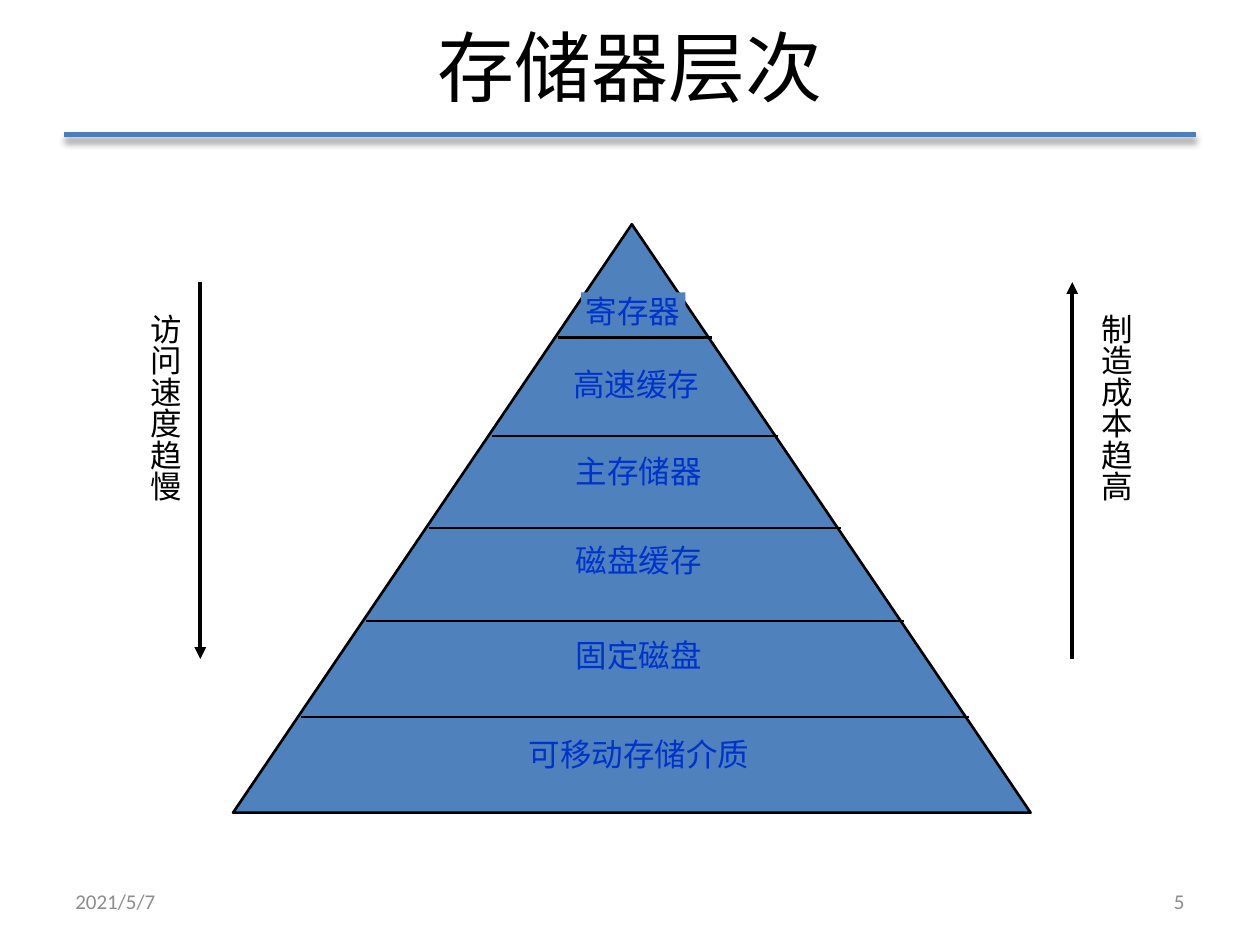
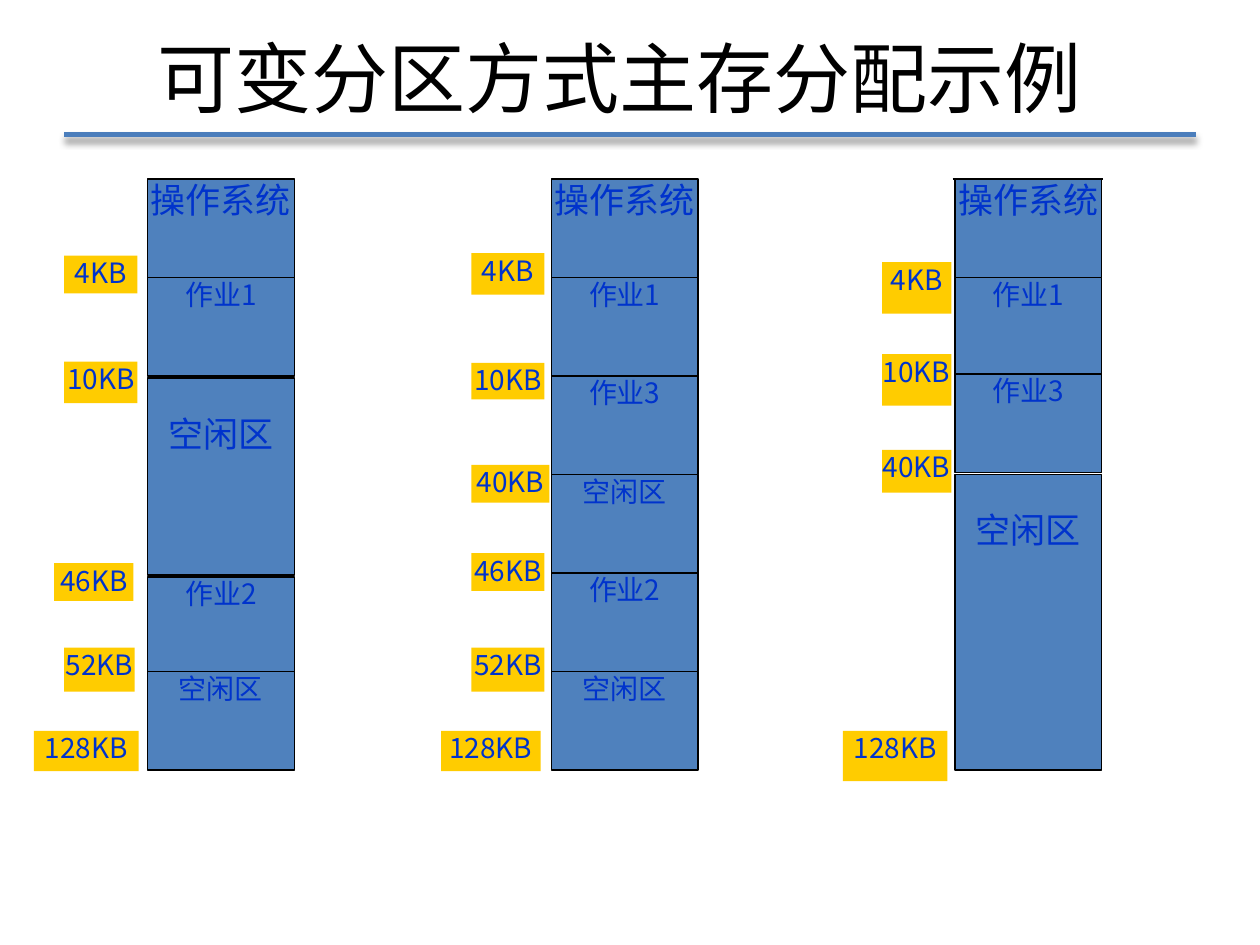
from lxml import etree
from pptx import Presentation
from pptx.dml.color import RGBColor
from pptx.enum.shapes import MSO_CONNECTOR as Link, MSO_SHAPE as Kind
from pptx.enum.text import MSO_ANCHOR as Anchor, PP_ALIGN as Align
from pptx.oxml import parse_xml
from pptx.oxml.ns import nsdecls, qn
from pptx.util import Inches, Pt

# Shared grid: 100 columns by 75 rows of square cells
SLIDE_W, SLIDE_H = Inches(10), Inches(7.5)
COLUMNS, ROWS = 100, 75

# Shared look
BLACK, RULE_BLUE, BLUE = "000000", "4B7EBC", "4F81BD"
INK, YELLOW, GREY = "0033CC", "FFCC00", "8C8C8C"
CJK = "Noto Sans CJK JP"

# Pyramid geometry
APEX_X, APEX_Y, BASE_W, PYRAMID_H = 50.15, 17.8, 63.3, 46.7
DIVIDER_SHIFT = 0.25
DIVIDER_ROWS = [26.8, 34.6, 41.9, 49.3, 56.9]
LEVELS = [
    ("寄存器", 46.1, 23.2, 8.3, 3.9),
    ("高速缓存", 44.9, 29, 11.2, 4.1),
    ("主存储器", 45.1, 35.9, 11.2, 5.6),
    ("磁盘缓存", 45.1, 42.9, 11.2, 5.6),
    ("固定磁盘", 45.1, 50.5, 11.2, 5.6),
    ("可移动存储介质", 41.1, 58.3, 19.2, 5.6),
]

# Memory maps: partitions as (name, first unit, units), addresses as boxes
MAP_LEFT, MAP_STEP, MAP_W = 11.7, 32.05, 11.65
MAP_TOP, UNIT = 14.2, 7.82
MEMORY_MAPS = [
    ([("操作系统", 0, 1), ("作业1", 1, 1), ("空闲区", 2.02, 2),
      ("作业2", 4.04, 1), ("空闲区", 5, 1)],
     [("4KB", 5.1, 20.3, 5.8, 3), ("10KB", 5.1, 28.7, 5.8, 3.3),
      ("46KB", 4.3, 44.7, 6.3, 3), ("52KB", 5.1, 51.4, 5.6, 3.5),
      ("128KB", 2.7, 58, 8.3, 3.2)]),
    ([("操作系统", 0, 1), ("作业1", 1, 1), ("作业3", 2, 1),
      ("空闲区", 3, 1), ("作业2", 4, 1), ("空闲区", 5, 1)],
     [("4KB", 37.4, 20.1, 5.8, 3.3), ("10KB", 37.4, 28.8, 5.8, 2.9),
      ("40KB", 37.4, 36.9, 6.2, 3), ("46KB", 37.4, 43.9, 5.8, 3),
      ("52KB", 37.4, 51.4, 5.8, 3.5), ("128KB", 35, 58, 7.9, 3.2)]),
    ([("操作系统", 0, 1), ("作业1", 1, 1), ("作业3", 1.98, 1),
      ("空闲区", 3, 3)],
     [("4KB", 70, 20.8, 5.5, 4.1), ("10KB", 70, 28.1, 5.5, 4.1),
      ("40KB", 70, 35.7, 5.5, 3.4), ("128KB", 66.9, 58, 8.3, 4)]),
]


def col(count):
    return round(SLIDE_W * count / COLUMNS)


def row(count):
    return round(SLIDE_H * count / ROWS)


def cells(left, top, width, height):
    return col(left), row(top), col(width), row(height)


def color(hex_code):
    return RGBColor.from_string(hex_code)


def write(frame, words, size, ink, face=CJK, align=Align.CENTER, **frame_format):
    """Fill a text frame with one paragraph."""
    for name, value in frame_format.items():
        setattr(frame, name, value)
    paragraph = frame.paragraphs[0]
    paragraph.alignment = align
    run = paragraph.add_run()
    run.text = words
    for name, value in {"size": Pt(size), "name": face}.items():
        setattr(run.font, name, value)
    run.font.color.rgb = color(ink)
    east_asian = etree.SubElement(run.font._element, qn("a:ea"))
    east_asian.set("typeface", CJK)


def add_text(slide, box, words, size, ink, **text_format):
    frame = slide.shapes.add_textbox(*cells(*box)).text_frame
    write(frame, words, size, ink, word_wrap=True, **text_format)
    return frame


def add_block(slide, box, fill, kind=Kind.RECTANGLE, outline=None):
    block = slide.shapes.add_shape(kind, *cells(*box))
    block.shadow.inherit = False
    block.fill.solid()
    block.fill.fore_color.rgb = color(fill)
    if outline:
        block.line.color.rgb = color(BLACK)
        block.line.width = Pt(outline)
    else:
        block.line.fill.background()
    return block


def add_label(slide, box, words, size, fill=BLUE, outline=None, drop=0):
    """A filled box with words at its top, lowered by drop rows."""
    block = add_block(slide, box, fill, outline=outline)
    write(block.text_frame, words, size, INK, word_wrap=False,
          vertical_anchor=Anchor.TOP, margin_left=0, margin_right=0,
          margin_top=row(drop), margin_bottom=0)


def add_line(slide, start, end, weight, ink=BLACK, arrow=False, shadow=False):
    line = slide.shapes.add_connector(
        Link.STRAIGHT, col(start[0]), row(start[1]), col(end[0]), row(end[1]))
    line.line.color.rgb = color(ink)
    line.line.width = Pt(weight)
    if arrow:
        head = etree.SubElement(line.line._get_or_add_ln(), qn("a:tailEnd"))
        head.set("type", "triangle")
    cast = (f'<a:outerShdw blurRad="{Pt(4)}" dist="{Pt(3)}" dir="5400000" '
            'rotWithShape="0"><a:srgbClr val="000000"><a:alpha val="40000"/>'
            '</a:srgbClr></a:outerShdw>') if shadow else ""
    line._element.spPr.append(parse_xml(
        f'<a:effectLst {nsdecls("a")}>{cast}</a:effectLst>'))


def add_titled_slide(deck, title, title_box, **title_format):
    """A blank slide with the shared rule and title style."""
    slide = deck.slides.add_slide(deck.slide_layouts[6])
    add_line(slide, (5.1, 10.7), (94.9, 10.7), 3, RULE_BLUE, shadow=True)
    add_text(slide, title_box, title, 44, BLACK,
             vertical_anchor=Anchor.MIDDLE, **title_format)
    return slide


def add_footer(slide, date, number):
    for left, words, align in ((5, date, Align.LEFT), (71.7, number, Align.RIGHT)):
        add_text(slide, (left, 69.5, 23.3, 4), words, 12, GREY, face="Calibri",
                 align=align, vertical_anchor=Anchor.MIDDLE)


def add_pyramid(slide):
    add_block(slide, (APEX_X - BASE_W / 2, APEX_Y, BASE_W, PYRAMID_H), BLUE,
              Kind.ISOSCELES_TRIANGLE, outline=1.5)
    for name, *box in LEVELS:
        add_label(slide, box, name, 18)
    middle = APEX_X + DIVIDER_SHIFT
    for depth in DIVIDER_ROWS:
        half = BASE_W / 2 * (depth - APEX_Y) / PYRAMID_H
        add_line(slide, (middle - half, depth), (middle + half, depth), 1.5)


def add_trend(slide, words, words_left, arrow_x, start_y, end_y):
    """A vertical arrow with a vertical caption."""
    add_line(slide, (arrow_x, start_y), (arrow_x, end_y), 2.25, arrow=True)
    caption = add_text(slide, (words_left, 23.9, 5, 25.2), words, 18, BLACK,
                       face="Arial", margin_right=col(0.5))
    caption._txBody.bodyPr.set("vert", "eaVert")


def add_memory_map(slide, left, partitions, addresses):
    for name, first, units in partitions:
        box = (left, MAP_TOP + first * UNIT, MAP_W, units * UNIT)
        large = units > 1
        size = 20 if large or first == 0 else 16
        add_label(slide, box, name, size, outline=0.75, drop=2.7 if large else 0)
    for address, *box in addresses:
        add_label(slide, box, address, 16, YELLOW)


def main():
    deck = Presentation()
    deck.slide_width, deck.slide_height = SLIDE_W, SLIDE_H

    # Storage hierarchy
    hierarchy = add_titled_slide(deck, "存储器层次", (5, -0.3, 90, 11))
    add_pyramid(hierarchy)
    add_trend(hierarchy, "访问速度趋慢", 10.1, 15.9, 22.4, 52.3)
    add_trend(hierarchy, "制造成本趋高", 85.6, 85.1, 52.3, 22.4)
    add_footer(hierarchy, "2021/5/7", "5")

    # Variable partition allocation
    allocation = add_titled_slide(deck, "可变分区方式主存分配示例",
                                  (5.1, 1.5, 89.8, 9.2), margin_right=col(2.6))
    for index, (partitions, addresses) in enumerate(MEMORY_MAPS):
        add_memory_map(allocation, MAP_LEFT + index * MAP_STEP, partitions, addresses)
    add_line(allocation, (75.6, MAP_TOP), (87.5, MAP_TOP), 0.75)

    deck.save("out.pptx")


if __name__ == "__main__":
    main()
